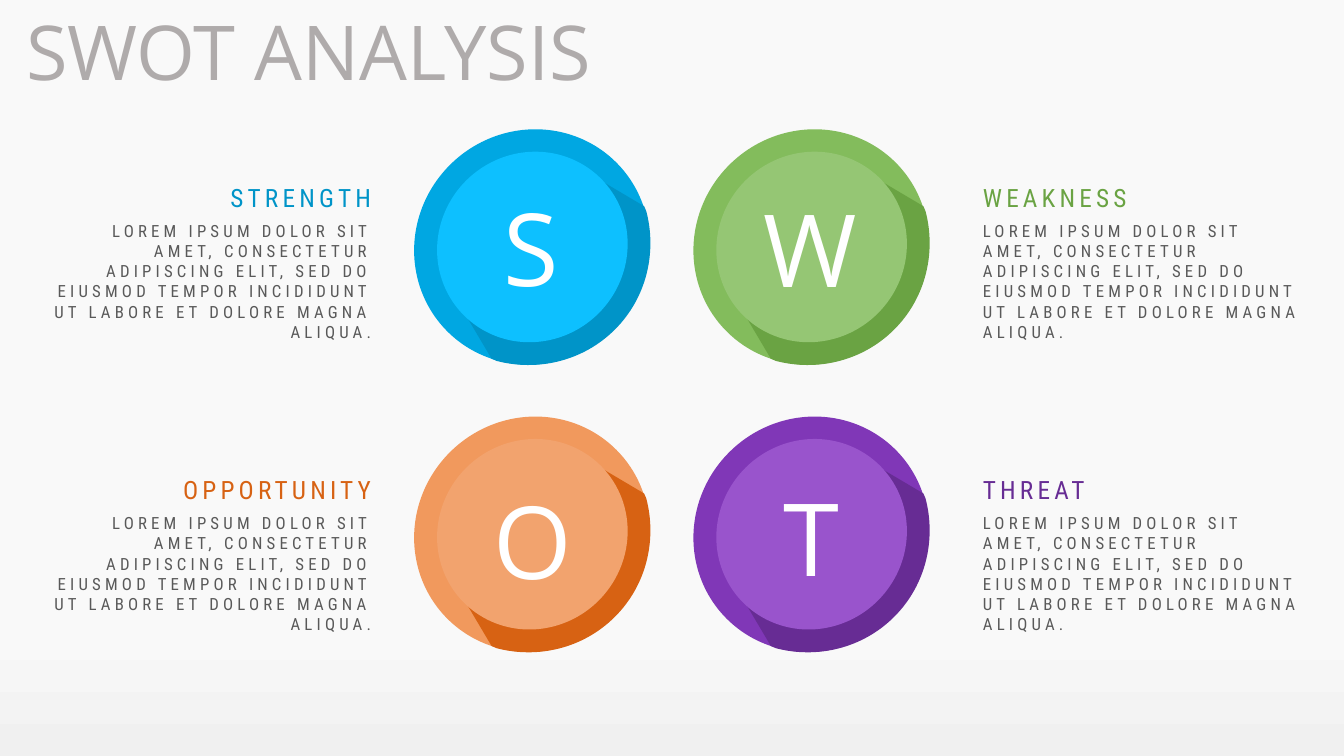
from copy import deepcopy

from lxml.etree import SubElement
from pptx import Presentation
from pptx.dml.color import RGBColor
from pptx.enum.shapes import MSO_SHAPE
from pptx.enum.text import MSO_AUTO_SIZE, PP_ALIGN
from pptx.oxml.ns import qn
from pptx.util import Inches, Pt

WHITE = RGBColor(0xFF, 0xFF, 0xFF)
TITLE_GREY = RGBColor(0xAF, 0xAB, 0xAB)
BODY_GREY = RGBColor(0x59, 0x59, 0x59)
BACKDROP = RGBColor(0xF9, 0xF9, 0xF9)
BACKDROP_FOOT = RGBColor(0xF0, 0xF0, 0xF0)
BACKDROP_STOPS = [(0, BACKDROP), (0.74, BACKDROP), (0.83, BACKDROP), (1, BACKDROP_FOOT)]

HEADING_FONT = "Open Sans"
LABEL_FONT = "Roboto Condensed"
BODY = ("LOREM IPSUM DOLOR SIT AMET, CONSECTETUR ADIPISCING ELIT, SED DO "
        "EIUSMOD TEMPOR INCIDIDUNT UT LABORE ET DOLORE MAGNA ALIQUA.")

# Lengths in inches; each grid has two columns and two rows
RING_LEFT, RING_TOP, RING_COLUMN, RING_ROW = 4.09, 1.3, 2.77, 2.85
RIM_BOX = (0, 0, 2.37, 2.3)
DISC_BOX = (0.23, 0.22, 1.92, 1.86)
SHADE_OFFSET = (0.43, 0.74)
TILT = 315
LABEL_TOP, LABEL_ROW = 1.76, 2.9
LABEL_LEFTS = (0.43, 9.65)
LABEL_WIDTH, HEADING_WIDTH = 3.35, 2.35

# Shade outline before tilting; points 4 to 9 control two curves
SHADE = [(0.2, 0), (1.94, 0), (2.14, 0.78), (2.12, 0.83),
         (1.91, 1.19), (1.52, 1.44), (1.07, 1.44),
         (0.62, 1.44), (0.23, 1.19), (0.02, 0.83), (0, 0.78)]
CURVE_STARTS = (4, 7)

# heading, column, row, letter offset from ring, rim / shade / disc colours
QUADRANTS = [
    ("STRENGTH", 0, 0, (0.57, 0.49), ("00A7E2", "0094C8", "0DC0FF")),
    ("OPPORTUNITY", 0, 1, (0.59, 0.55), ("F1995D", "D76213", "F2A36E")),
    ("WEAKNESS", 1, 0, (0.57, 0.5), ("83BC5C", "6AA343", "95C674")),
    ("THREAT", 1, 1, (0.58, 0.52), ("8037B7", "672C94", "9954CC")),
]


def add_text(slide, text, left, top, width, height, *, size, font, color,
             align=PP_ALIGN.LEFT, spacing=0):
    """Add a one-paragraph text box; spacing is letter spacing in points."""
    frame = slide.shapes.add_textbox(
        Inches(left), Inches(top), Inches(width), Inches(height)).text_frame
    frame.word_wrap = True
    frame.auto_size = MSO_AUTO_SIZE.SHAPE_TO_FIT_TEXT
    paragraph = frame.paragraphs[0]
    paragraph.alignment = align
    run = paragraph.add_run()
    run.text = text
    run.font.size = Pt(size)
    run.font.name = font
    run.font.color.rgb = color
    if spacing:
        run.font._element.set("spc", str(spacing * 100))


def tilt_and_paint(shape, color):
    shape.rotation = TILT
    shape.shadow.inherit = False
    shape.fill.solid()
    shape.fill.fore_color.rgb = color
    shape.line.fill.background()


def add_oval(group, left, top, box, color):
    dx, dy, width, height = box
    oval = group.shapes.add_shape(MSO_SHAPE.OVAL, Inches(left + dx), Inches(top + dy),
                                  Inches(width), Inches(height))
    tilt_and_paint(oval, color)


def add_shade(group, left, top, color):
    points = [(Inches(left + x), Inches(top + y)) for x, y in SHADE]
    builder = group.shapes.build_freeform(*points[0])
    builder.add_line_segments(points[1:], close=True)
    shade = builder.convert_to_shape()
    outline = next(shade._element.iter(qn("a:path")))
    segments = list(outline)
    for start in CURVE_STARTS:
        curve = SubElement(outline, qn("a:cubicBezTo"))
        segments[start].addprevious(curve)
        for segment in segments[start:start + 3]:
            curve.append(segment[0])
            outline.remove(segment)
    tilt_and_paint(shade, color)


def add_ring(slide, left, top, colors):
    rim, shade, disc = colors
    group = slide.shapes.add_group_shape()
    add_oval(group, left, top, RIM_BOX, rim)
    add_shade(group, left + SHADE_OFFSET[0], top + SHADE_OFFSET[1], shade)
    add_oval(group, left, top, DISC_BOX, disc)


def add_letter(slide, left, top, letter):
    add_text(slide, letter, left, top, 1.21, 1.31, size=72, font=HEADING_FONT,
             color=WHITE, align=PP_ALIGN.CENTER)


def add_label(slide, left, top, heading, color, align):
    indent = LABEL_WIDTH - HEADING_WIDTH if align == PP_ALIGN.RIGHT else 0
    add_text(slide, heading, left + indent, top, HEADING_WIDTH, 0.4,
             size=18, font=LABEL_FONT, color=color, align=align, spacing=3)
    add_text(slide, BODY, left, top + 0.38, LABEL_WIDTH, 1.11,
             size=12, font=LABEL_FONT, color=BODY_GREY, align=align, spacing=3)


def set_backdrop(slide):
    fill = slide.background.fill
    fill.gradient()
    fill.gradient_angle = 270
    stop_list = next(slide.element.iter(qn("a:gsLst")))
    for _ in range(len(BACKDROP_STOPS) - len(stop_list)):
        stop_list.append(deepcopy(stop_list[0]))
    for stop, (position, color) in zip(fill.gradient_stops, BACKDROP_STOPS):
        stop.position = position
        stop.color.rgb = color


def build_swot(slide):
    set_backdrop(slide)
    for heading, column, row, (dx, dy), hex_colors in QUADRANTS:
        colors = [RGBColor.from_string(value) for value in hex_colors]
        left, top = RING_LEFT + column * RING_COLUMN, RING_TOP + row * RING_ROW
        add_ring(slide, left, top, colors)
        add_letter(slide, left + dx, top + dy, heading[0])
        add_label(slide, LABEL_LEFTS[column], LABEL_TOP + row * LABEL_ROW, heading,
                  colors[1], (PP_ALIGN.RIGHT, PP_ALIGN.LEFT)[column])
    add_text(slide, "SWOT ANALYSIS", 0.16, 0, 6.46, 1.01,
             size=54, font=HEADING_FONT, color=TITLE_GREY)


def main():
    deck = Presentation()
    deck.slide_width, deck.slide_height = Inches(13.33), Inches(7.5)
    build_swot(deck.slides.add_slide(deck.slide_layouts[6]))
    deck.save("out.pptx")


if __name__ == "__main__":
    main()
